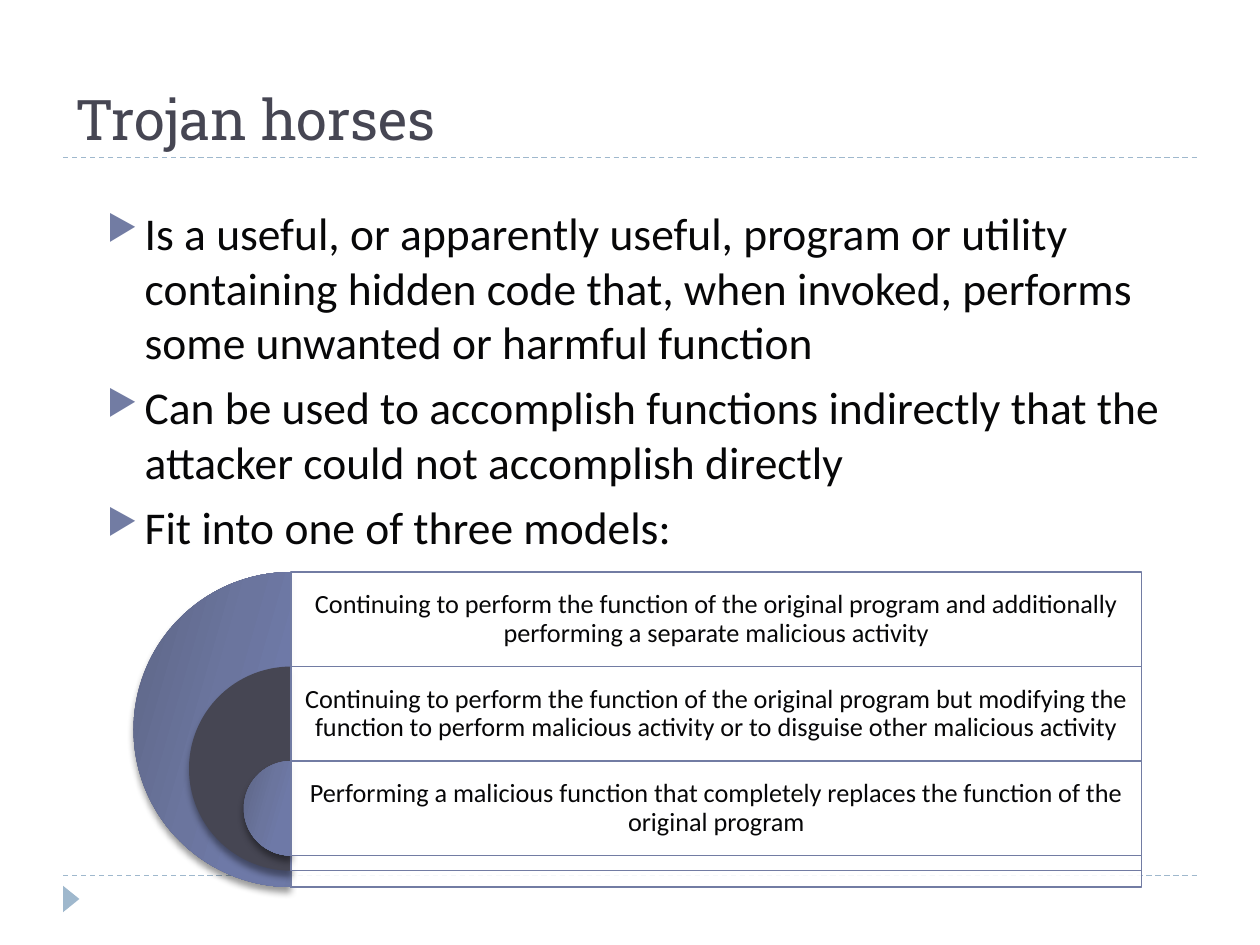
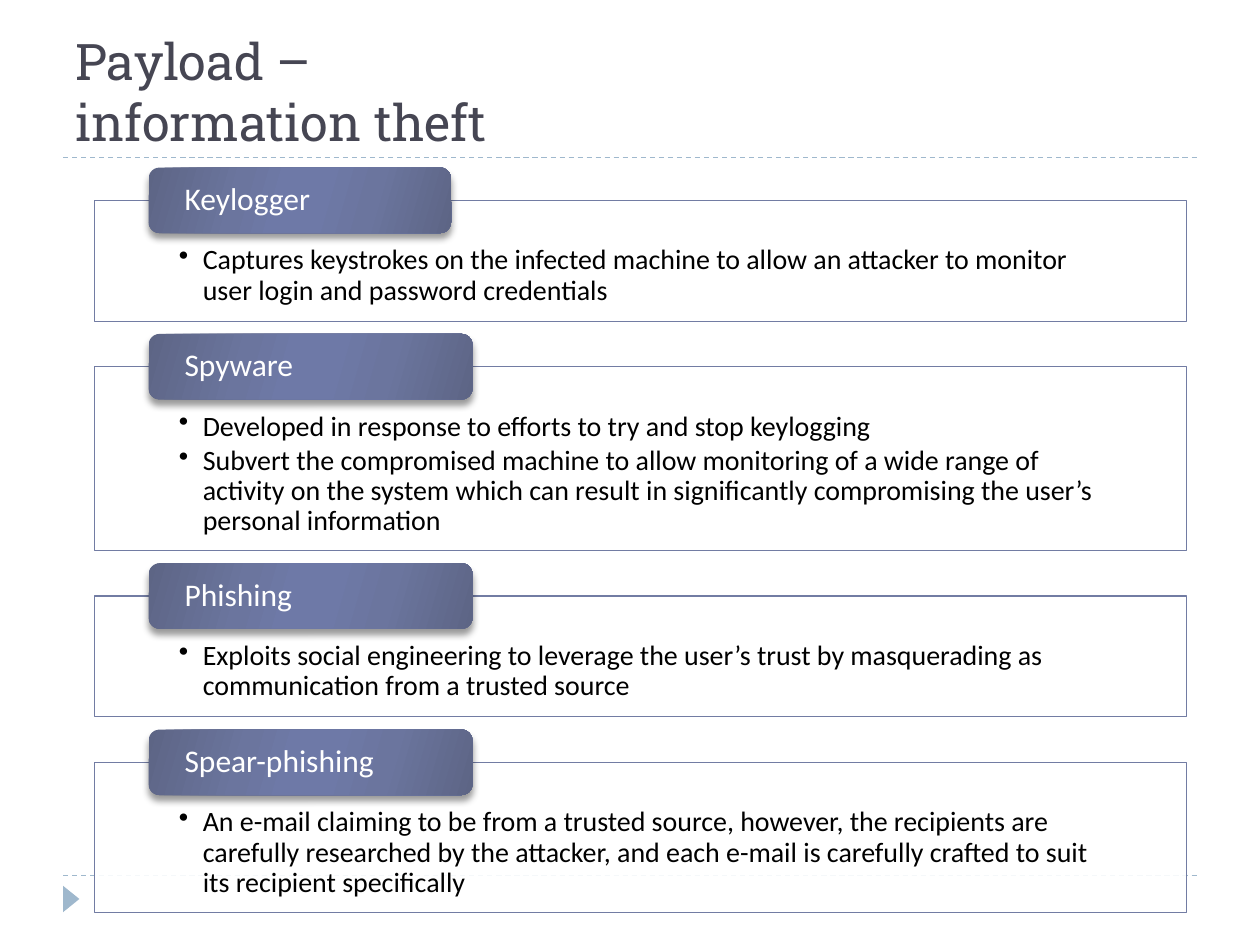
from dataclasses import dataclass

from lxml import etree
from pptx import Presentation
from pptx import util as u
from pptx.dml.color import RGBColor
from pptx.enum import dml, shapes, text
from pptx.oxml.ns import qn


@dataclass(frozen=True)
class Theme:
    heading_font: str = "Roboto Slab"
    body_font: str = "Calibri"
    dark: str = "464653"
    accent: str = "727CA3"
    pale: str = "9FB8CD"
    ink: str = "070708"
    black: str = "000000"
    white: str = "FFFFFF"
    sheen: tuple = ((0, "5D6585"), (30, "6B759E"), (45, "6E79A7"),
                    (55, "6E79A7"), (73, "6B759E"), (100, "5D6585"))
    title_size: float = 32
    long_title_size: float = 28.8
    body_size: float = 26
    tab_size: float = 18
    detail_size: float = 16
    model_size: float = 15


T = Theme()
PRESET = shapes.MSO_SHAPE
ALIGN = text.PP_ALIGN
ANCHOR = text.MSO_ANCHOR

MODELS = [
    (2.5, "Continuing to perform the function of the original program and "
          "additionally performing a separate malicious activity"),
    (1.62, "Continuing to perform the function of the original program but modifying the "
           "function to perform malicious activity or to disguise other malicious activity"),
    (0.75, "Performing a malicious function that completely replaces the function "
           "of the original program"),
]

THEFTS = [
    ("Keylogger", 2.4, 0.96, [
        "Captures keystrokes on the infected machine to allow an attacker to monitor "
        "user login and password credentials"]),
    ("Spyware", 2.57, 1.46, [
        "Developed in response to efforts to try and stop keylogging",
        "Subvert the compromised machine to allow monitoring of a wide range of activity "
        "on the system which can result in significantly compromising the user’s "
        "personal information"]),
    ("Phishing", 2.57, 0.96, [
        "Exploits social engineering to leverage the user’s trust by masquerading as "
        "communication from a trusted source"]),
    ("Spear-phishing", 2.57, 1.19, [
        "An e-mail claiming to be from a trusted source, however, the recipients are "
        "carefully researched by the attacker, and each e-mail is carefully crafted to "
        "suit its recipient specifically"]),
]


def rgb(value):
    return RGBColor.from_string(value)


def child(parent, tag, **attrs):
    return etree.SubElement(parent, qn(tag), {k: str(v) for k, v in attrs.items()})


def add_bullet(p, char, indent, color=None, percent=None):
    pPr = p._p.get_or_add_pPr()
    pPr.set("marL", str(u.Inches(indent)))
    pPr.set("indent", str(-u.Inches(indent)))
    if color:
        child(child(pPr, "a:buClr"), "a:srgbClr", val=color)
    if percent:
        child(pPr, "a:buSzPct", val=percent * 1000)
    child(pPr, "a:buChar", char=char)


def write(sp, paragraphs, size, color, font=T.body_font, align=ALIGN.LEFT,
          anchor=ANCHOR.TOP, insets=(0.1, 0.05, 0.1, 0.05), leading=1.0,
          before=0, after=0, bullet=None):
    tf = sp.text_frame
    tf.word_wrap = True
    tf.vertical_anchor = anchor
    tf.margin_left, tf.margin_top, tf.margin_right, tf.margin_bottom = map(u.Inches, insets)
    for i, content in enumerate(paragraphs):
        p = tf.paragraphs[0] if i == 0 else tf.add_paragraph()
        p.alignment = align
        p.line_spacing = leading
        p.space_before, p.space_after = u.Pt(before), u.Pt(after)
        if bullet:
            add_bullet(p, **bullet)
        for j, line in enumerate(content.split("\n")):
            if j:
                p.add_line_break()
            r = p.add_run()
            r.text = line
            r.font.name, r.font.size = font, u.Pt(size)
            r.font.color.rgb = rgb(color)


def add_textbox(s, box, paragraphs, **fmt):
    sp = s.shapes.add_textbox(*map(u.Inches, box))
    write(sp, paragraphs, **fmt)


def add_shape(s, preset, box, fill, line=None):
    sp = s.shapes.add_shape(preset, *map(u.Inches, box))
    sp.shadow.inherit = False
    sp.fill.solid()
    sp.fill.fore_color.rgb = rgb(fill)
    if line:
        sp.line.color.rgb = rgb(line)
        sp.line.width = u.Pt(0.75)
    else:
        sp.line.fill.background()
    return sp


def add_frame(s, box):
    sp = add_shape(s, PRESET.RECTANGLE, box, T.white, T.accent)
    white = sp._element.spPr.find(qn("a:solidFill")).find(qn("a:srgbClr"))
    child(white, "a:alpha", val=90000)
    return sp


def add_raised(s, preset, box, fill=None):
    sp = add_shape(s, preset, box, fill or T.accent)
    spPr = sp._element.spPr
    if not fill:
        sp.fill.gradient()
        sp.fill.gradient_angle = 344
        stops = spPr.find(qn("a:gradFill")).find(qn("a:gsLst"))
        for stop in list(stops):
            stops.remove(stop)
        for position, color in T.sheen:
            child(child(stops, "a:gs", pos=position * 1000), "a:srgbClr", val=color)
    shadow = child(spPr.find(qn("a:effectLst")), "a:outerShdw", blurRad=u.Pt(4),
                   dist=u.Pt(3.4), dir=5400000, algn="ctr", rotWithShape=0)
    child(child(shadow, "a:srgbClr", val=T.black), "a:alpha", val=40000)
    return sp


def add_rule(s, y):
    ln = s.shapes.add_connector(shapes.MSO_CONNECTOR.STRAIGHT,
                                u.Inches(0.5), u.Inches(y), u.Inches(9.5), u.Inches(y))
    ln.line.color.rgb = rgb(T.pale)
    ln.line.width = u.Pt(0.75)
    ln.line.dash_style = dml.MSO_LINE.DASH
    child(ln._element.spPr, "a:effectLst")


def add_slide(prs, title, title_size=T.title_size):
    s = prs.slides.add_slide(prs.slide_layouts[6])
    for y in (6.95, 1.25):
        add_rule(s, y)
    marker = add_shape(s, PRESET.ISOSCELES_TRIANGLE, (0.46, 7.07, 0.21, 0.13), T.pale)
    marker.rotation = 90
    add_textbox(s, (0.5, 0.17, 9, 1.08), [title], size=title_size, color=T.dark,
                font=T.heading_font, anchor=ANCHOR.BOTTOM)
    return s


def add_model(s, index, size, label):
    center, width, row = 2.31, 6.75, 0.75
    top = 4.54 + index * row
    half_disc = add_raised(s, PRESET.PIE, (center - size / 2, top, size, size),
                           T.dark if index == 1 else None)
    half_disc.adjustments[0], half_disc.adjustments[1] = 54, 162
    add_frame(s, (center, top, width, size))
    add_textbox(s, (center, top, width, row), [label], size=T.model_size, color=T.ink,
                align=ALIGN.CENTER, anchor=ANCHOR.MIDDLE, insets=(0.06,) * 4, leading=0.9)


def add_theft(s, top, name, tab_width, height, details):
    frame = add_frame(s, (0.75, top, 8.67, height))
    write(frame, details, size=T.detail_size, color=T.black,
          insets=(0.67, 0.36, 0.67, 0.12), leading=0.9, after=2.4,
          bullet=dict(char="•", indent=0.19))
    tab = add_raised(s, PRESET.ROUNDED_RECTANGLE, (1.18, top - 0.26, tab_width, 0.52))
    write(tab, [name], size=T.tab_size, color=T.white, anchor=ANCHOR.MIDDLE,
          insets=(0.26, 0, 0.26, 0), leading=0.9)


def trojan_slide(prs):
    s = add_slide(prs, "Trojan horses")
    add_textbox(s, (0.75, 1.58, 8.58, 5.17), [
        "Is a useful, or apparently useful, program or utility containing hidden code that, "
        "when invoked, performs some unwanted or harmful function",
        "Can be used to accomplish functions indirectly that the attacker could not "
        "accomplish directly",
        "Fit into one of three models:",
    ], size=T.body_size, color=T.ink, before=6,
        bullet=dict(char="▶", indent=0.3, color=T.accent, percent=76))
    for i, (size, label) in enumerate(MODELS):
        add_model(s, i, size, label)


def theft_slide(prs):
    s = add_slide(prs, "Payload –\ninformation theft", T.long_title_size)
    top, gap = 1.59, 0.36
    for name, tab_width, height, details in THEFTS:
        add_theft(s, top, name, tab_width, height, details)
        top += height + gap


def main():
    prs = Presentation()
    prs.slide_width, prs.slide_height = u.Inches(10), u.Inches(7.5)
    trojan_slide(prs)
    theft_slide(prs)
    prs.save("out.pptx")


if __name__ == "__main__":
    main()
